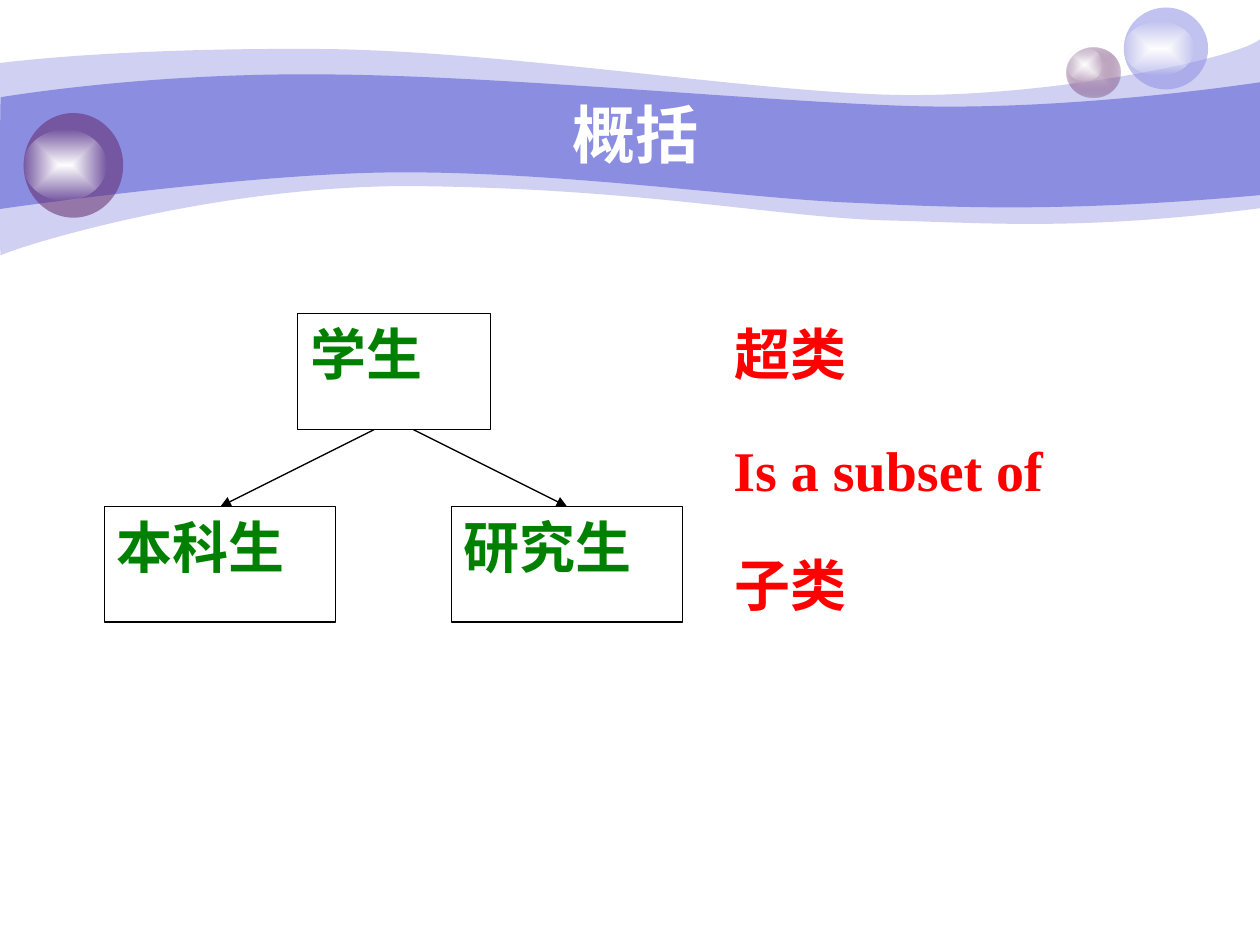
"""Build the generalization slide: a class hierarchy under a wavy banner."""
from lxml.etree import SubElement
from pptx import Presentation
from pptx.dml.color import RGBColor
from pptx.enum.shapes import MSO_CONNECTOR, MSO_SHAPE
from pptx.enum.text import MSO_ANCHOR, PP_ALIGN
from pptx.oxml import parse_xml
from pptx.oxml.ns import nsdecls, qn
from pptx.util import Pt

LAVENDER = RGBColor(0x8B, 0x8D, 0xE1)
PLUM = RGBColor(0x63, 0x27, 0x69)
MAUVE = RGBColor(0xD7, 0xC8, 0xD9)
WHITE = RGBColor(0xFF, 0xFF, 0xFF)
BLACK = RGBColor(0, 0, 0)
GREEN = RGBColor(0, 0x80, 0)
RED = RGBColor(0xFF, 0, 0)


def paint(sp, color, alpha, center=None):
    sp.shadow.inherit = False
    sp.line.fill.background()
    sp.fill.solid()
    sp.fill.fore_color.rgb = color
    solid = sp._element.spPr.find(qn("a:solidFill"))
    if center is None:
        if alpha < 100:
            SubElement(solid[0], qn("a:alpha"), val=str(alpha * 1000))
        return
    grad = parse_xml(
        f'<a:gradFill {nsdecls("a")} rotWithShape="1"><a:gsLst>'
        f'<a:gs pos="0"><a:srgbClr val="{center}"/></a:gs>'
        f'<a:gs pos="100000"><a:srgbClr val="{color}"><a:alpha val="{alpha * 1000}"/></a:srgbClr></a:gs>'
        '</a:gsLst><a:path path="rect">'
        '<a:fillToRect l="50000" t="50000" r="50000" b="50000"/></a:path></a:gradFill>')
    solid.getparent().replace(solid, grad)


def write(sp, text, font, size, color, align):
    tf = sp.text_frame
    tf.word_wrap = True
    tf.text = text
    p = tf.paragraphs[0]
    p.alignment = align
    f = p.runs[0].font
    f.name, f.size, f.bold = font, Pt(size), True
    f.color.rgb = color
    return tf


prs = Presentation()
prs.slide_width, prs.slide_height = Pt(720), Pt(540)
s = prs.slides.add_slide(prs.slide_layouts[6])

waves = [
    (41, (0, 36), [
        (17, 34, 77, 27.5, 178, 28), (278, 28, 414, 50.5, 503, 54),
        (592, 57.5, 706, 34, 720, 22.5), (720, 119),
        (618, 132, 567, 127.5, 507.5, 126), (448, 124.5, 371, 108.5, 247, 106.5),
        (124, 103.5, 3, 143.5, 0.5, 146), (-0.5, 150, 0, 54, 0, 36)]),
    (100, (0.5, 55.5), [
        (1.5, 55.5, 79, 42, 178.5, 42.5), (278, 42.5, 428.5, 57.5, 517, 60.5),
        (605.5, 63.5, 703, 49.5, 720, 47), (720, 111.5),
        (614, 121, 551, 119, 491, 116), (431, 114, 322, 98, 228, 98.5),
        (146, 98.5, -1.5, 119.5, -0.5, 119.5), (0, 119.5, 0, 55.5, 0.5, 55.5)]),
]
for alpha, (x, y), segments in waves:
    fb = s.shapes.build_freeform(Pt(x), Pt(y))
    for seg in segments:
        points = zip(seg[::2], seg[1::2])
        fb.add_line_segments([(Pt(px), Pt(py)) for px, py in points], close=seg is segments[-1])
    sp = fb.convert_to_shape()
    lines = iter(list(sp._element.iter(qn("a:lnTo"))))
    for seg in segments:
        first = next(lines)
        if len(seg) == 6:
            first.tag_name = None
            curve = parse_xml(f'<a:cubicBezTo {nsdecls("a")}/>')
            first.addprevious(curve)
            for ln in (first, next(lines), next(lines)):
                curve.append(ln[0])
                ln.getparent().remove(ln)
    paint(sp, LAVENDER, alpha)

balls = [
    (609.8, 27.2, 30.4, 28.8, PLUM, 31, MAUVE),
    (609.8, 27.2, 20.2, 19.4, WHITE, 0, WHITE),
    (642.2, 4.3, 48.2, 46.8, LAVENDER, 53, None),
    (642.2, 12.2, 40.3, 31, WHITE, 0, WHITE),
    (13.5, 64.6, 56.9, 59.8, PLUM, 53, None),
    (13.5, 74.2, 47.5, 40.3, WHITE, 0, WHITE),
]
for x, y, w, h, color, alpha, center in balls:
    sp = s.shapes.add_shape(MSO_SHAPE.OVAL, Pt(x), Pt(y), Pt(w), Pt(h))
    paint(sp, color, alpha, center)

title = s.shapes.add_textbox(Pt(72), Pt(54), Pt(582), Pt(44.6))
tf = write(title, "概括", "Arial", 36, WHITE, PP_ALIGN.CENTER)
tf.vertical_anchor = MSO_ANCHOR.MIDDLE

boxes = [
    ("学生", 170.2, 179.3, 110.2, GREEN),
    ("本科生", 59.6, 289.4, 132, GREEN),
    ("研究生", 258, 289.4, 132, GREEN),
    ("超类", 412.5, 179.3, 110.2, RED),
    ("子类", 412.5, 311.3, 109.5, RED),
    ("Is a subset of", 412, 245.5, 220.3, RED),
]
for text, x, y, w, color in boxes:
    sp = s.shapes.add_shape(MSO_SHAPE.RECTANGLE, Pt(x), Pt(y), Pt(w), Pt(66.1))
    sp.shadow.inherit = False
    sp.fill.solid()
    sp.fill.fore_color.rgb = WHITE
    if color == GREEN:
        sp.line.color.rgb = BLACK
        sp.line.width = Pt(0.75)
    else:
        sp.line.fill.background()
    tf = write(sp, text, "Times New Roman", 32, color, PP_ALIGN.JUSTIFY)
    tf.vertical_anchor = MSO_ANCHOR.TOP

for x1, x2 in [(213.8, 126), (236.2, 324)]:
    cn = s.shapes.add_connector(MSO_CONNECTOR.STRAIGHT, Pt(x1), Pt(245.5), Pt(x2), Pt(289.4))
    cn.line.color.rgb = BLACK
    cn.line.width = Pt(0.75)
    SubElement(cn.line._get_or_add_ln(), qn("a:tailEnd"), type="triangle")
    SubElement(cn._element.spPr, qn("a:effectLst"))

prs.save("out.pptx")
